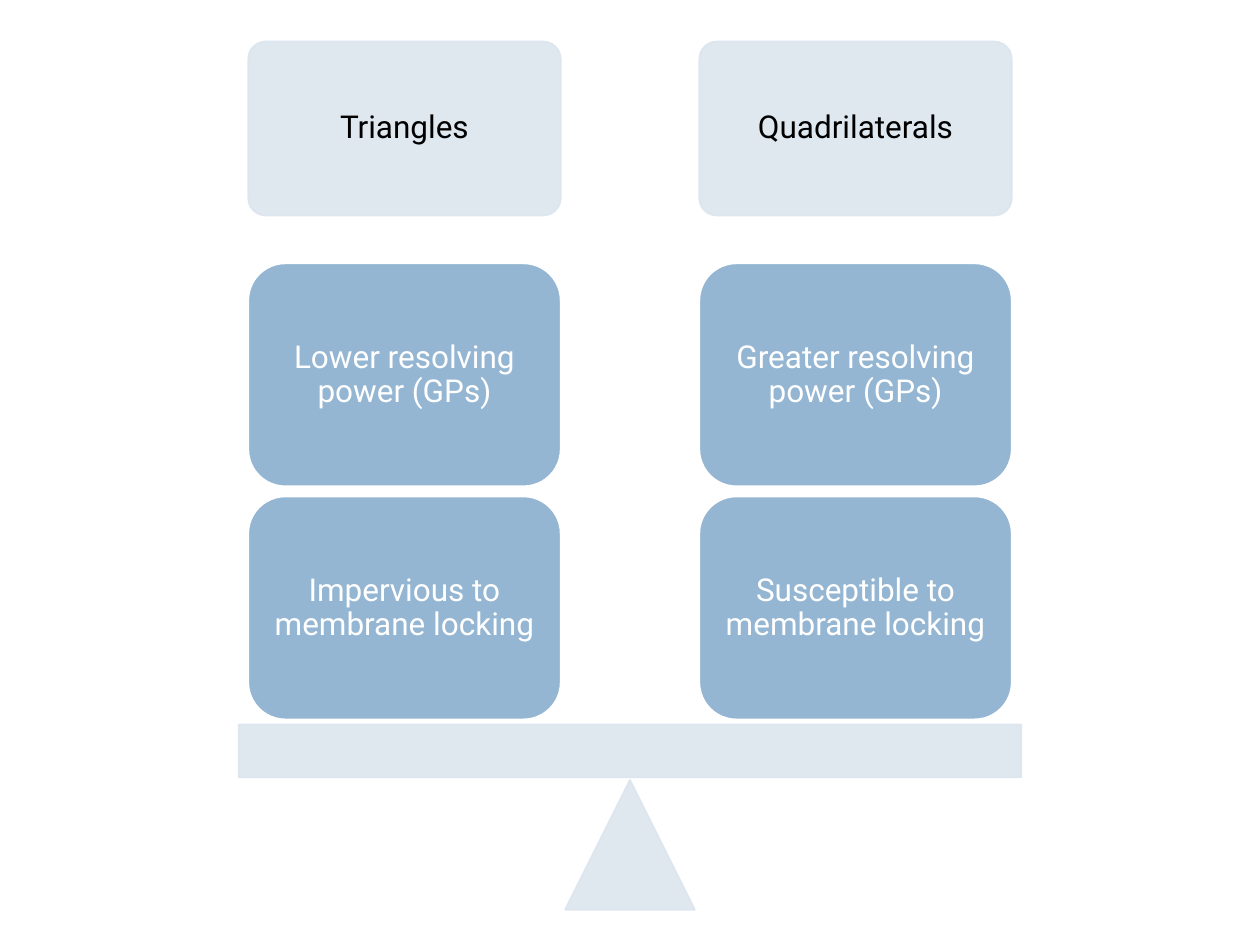
from lxml import etree
from pptx import Presentation
from pptx import util as u
from pptx.dml.color import RGBColor
from pptx.enum import shapes, text
from pptx.oxml.ns import qn

PALE = RGBColor(0xDC, 0xE5, 0xEE)
BLUE = RGBColor(0x94, 0xB6, 0xD2)
WHITE = RGBColor(0xFF, 0xFF, 0xFF)
BLACK = RGBColor(0x00, 0x00, 0x00)

# Grid of 100 columns by 75 rows
COLUMNS = 100
CENTRE = COLUMNS / 2
ARM = 17.9
CARD_WIDTH = 24.8
HEADER_TOP, HEADER_HEIGHT = 3.3, 13.8
CARD_TOP, CARD_HEIGHT, CARD_STEP = 20.9, 17.7, 18.5

SIDES = [
    ("Triangles", ["Lower resolving power (GPs)", "Impervious to membrane locking"]),
    ("Quadrilaterals", ["Greater resolving power (GPs)", "Susceptible to membrane locking"]),
]


class BalancePage:
    font = "Roboto"
    size = u.Pt(18)
    inset = u.Inches(0.07)
    opacity = 90

    def __init__(self, deck):
        self.page = deck.slides.add_slide(deck.slide_layouts[6])
        self.cell = deck.slide_width / COLUMNS

    def shape(self, kind, centre, top, width, height, fill, line):
        """Add a shape centred on a grid column."""
        left = centre - width / 2
        place = [round(n * self.cell) for n in (left, top, width, height)]
        box = self.page.shapes.add_shape(kind, *place)
        box.shadow.inherit = False
        box.fill.solid()
        box.fill.fore_color.rgb = fill
        box.line.color.rgb = line
        box.line.width = u.Pt(1)
        return box

    def pale_shape(self, kind, centre, top, width, height):
        box = self.shape(kind, centre, top, width, height, PALE, PALE)
        for color in box._element.spPr.iter(qn("a:srgbClr")):
            etree.SubElement(color, qn("a:alpha"), val=str(self.opacity * 1000))
        return box

    def label(self, box, words, color):
        frame = box.text_frame
        frame.word_wrap = True
        frame.vertical_anchor = text.MSO_ANCHOR.MIDDLE
        frame.margin_left = frame.margin_right = self.inset
        frame.margin_top = frame.margin_bottom = self.inset
        para = frame.paragraphs[0]
        para.alignment = text.PP_ALIGN.CENTER
        para.line_spacing = 0.9
        span = para.add_run()
        span.text = words
        span.font.name = self.font
        span.font.size = self.size
        span.font.color.rgb = color

    def header(self, centre, words):
        box = self.pale_shape(shapes.MSO_SHAPE.ROUNDED_RECTANGLE, centre,
                              HEADER_TOP, CARD_WIDTH, HEADER_HEIGHT)
        box.adjustments[0] = 0.1
        self.label(box, words, BLACK)

    def card(self, centre, row, words):
        box = self.shape(shapes.MSO_SHAPE.ROUNDED_RECTANGLE, centre,
                         CARD_TOP + row * CARD_STEP, CARD_WIDTH, CARD_HEIGHT,
                         BLUE, WHITE)
        self.label(box, words, WHITE)

    def scale(self):
        """Add the fulcrum and the beam that carries both stacks."""
        self.pale_shape(shapes.MSO_SHAPE.ISOSCELES_TRIANGLE, CENTRE, 61.9, 10.3, 10.3)
        self.pale_shape(shapes.MSO_SHAPE.RECTANGLE, CENTRE, 57.5, 62.1, 4.2)


def main():
    deck = Presentation()
    deck.slide_width, deck.slide_height = u.Inches(10), u.Inches(7.5)
    balance = BalancePage(deck)
    balance.scale()
    for centre, (name, traits) in zip((CENTRE - ARM, CENTRE + ARM), SIDES):
        balance.header(centre, name)
        for row, trait in enumerate(traits):
            balance.card(centre, row, trait)
    deck.save("out.pptx")


if __name__ == "__main__":
    main()
